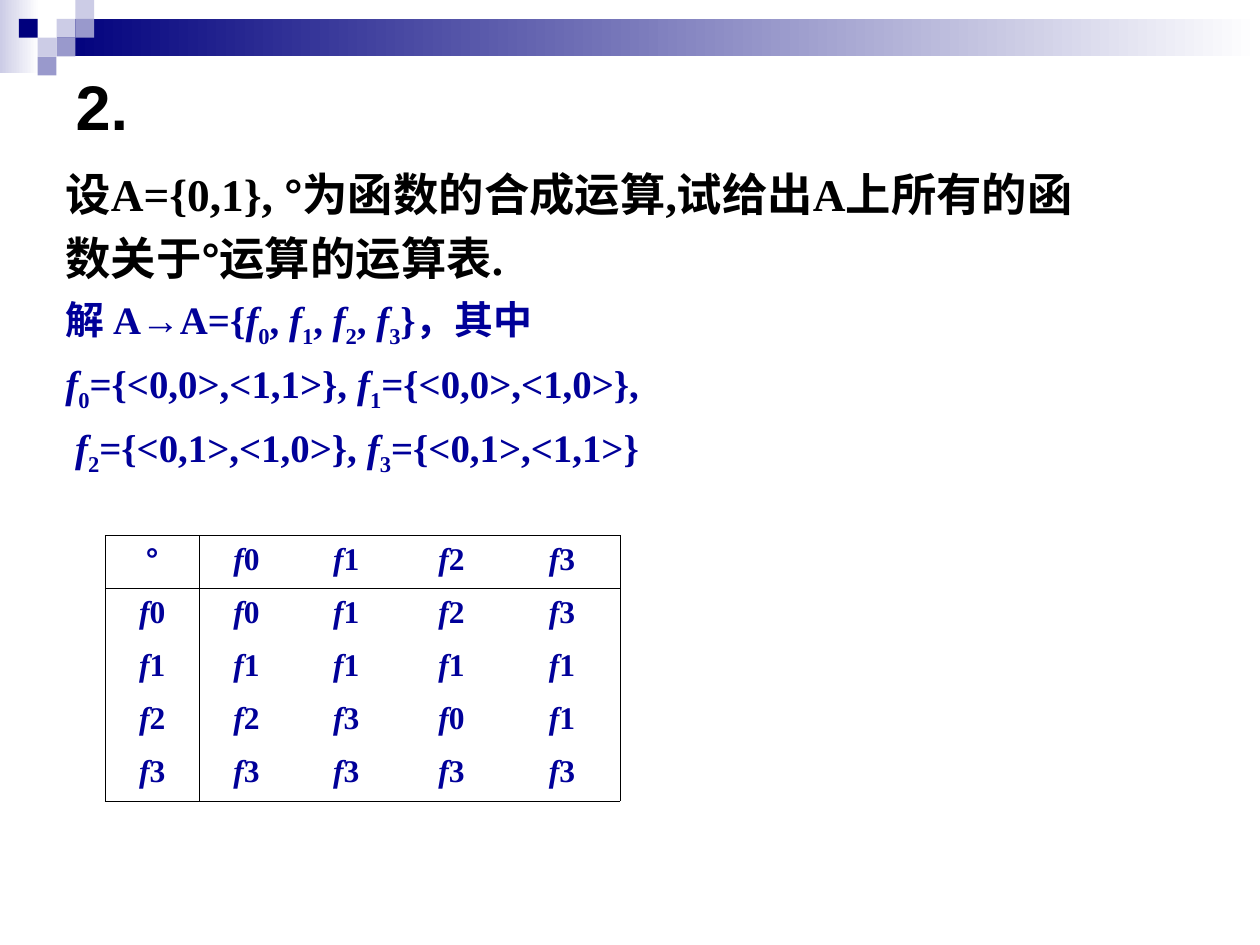
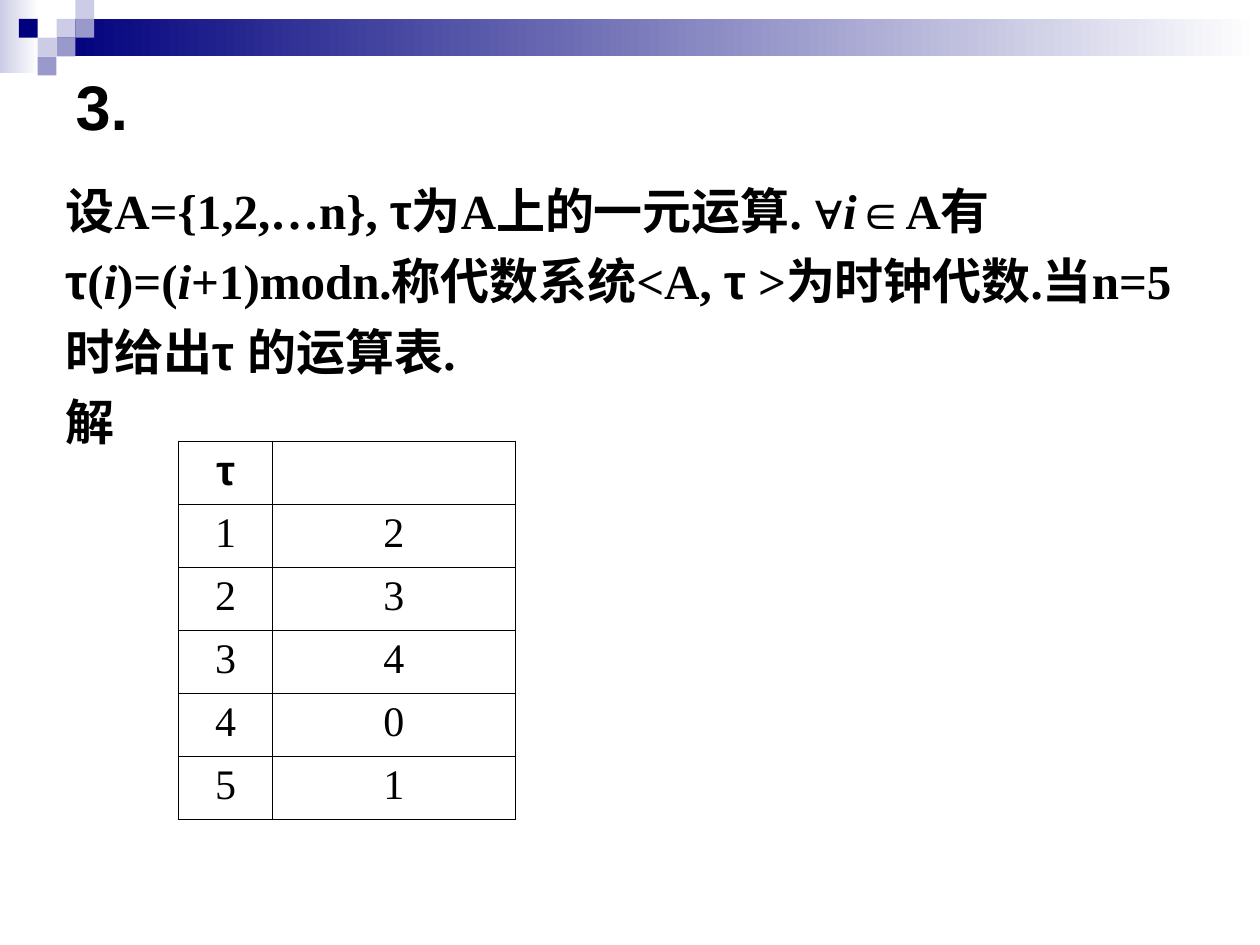
from typing import NamedTuple, Optional

import pptx
import pptx.dml.color
import pptx.enum.shapes
import pptx.enum.text
import pptx.oxml
import pptx.oxml.ns
import pptx.util
from pptx.dml.color import RGBColor
from pptx.util import Cm, Pt

# Shared colours and fonts
NAVY = RGBColor(0x00, 0x00, 0x7D)
LAVENDER = RGBColor(0xCC, 0xCC, 0xE6)
PERIWINKLE = RGBColor(0x99, 0x99, 0xCC)
WHITE = RGBColor(0xFF, 0xFF, 0xFF)
BLACK = RGBColor(0x00, 0x00, 0x00)
SOLUTION_BLUE = RGBColor(0x00, 0x00, 0x99)
SANS = "Arial"
SERIF = "Times New Roman"

TILE_SIDE = 0.38  # cm
BORDER_POINTS = 0.45


class Frame(NamedTuple):
    """Place and size in centimetres."""
    left: float
    top: float
    width: float
    height: float


class Band(NamedTuple):
    frame: Frame
    start: RGBColor


class Tile(NamedTuple):
    column: int
    row: int
    colour: RGBColor


class Span(NamedTuple):
    text: str
    font: Optional[str] = None
    italic: bool = False
    subscript: bool = False


class Style(NamedTuple):
    size: float
    colour: RGBColor
    bold: bool = True
    font: str = SERIF


class Line(NamedTuple):
    spans: list[Span]
    style: Style


class Grid(NamedTuple):
    left: float
    top: float
    column_widths: list[float]
    row_height: float
    rows: list[list[Line]]
    ruled_throughout: bool


BANDS = [
    Band(Frame(0, 0, 0.79, 1.47), LAVENDER),
    Band(Frame(1.14, 0.38, 24.26, 0.76), NAVY),
]
TILES = [
    Tile(3, 1, LAVENDER), Tile(4, 0, LAVENDER), Tile(4, 1, PERIWINKLE),
    Tile(2, 2, LAVENDER), Tile(1, 1, NAVY), Tile(3, 2, PERIWINKLE),
    Tile(2, 3, PERIWINKLE),
]
TITLE_FRAME = Frame(1.27, 1.07, 22.86, 2.11)
TITLE_STYLE = Style(36, BLACK, font=SANS)


def place(frame: Frame) -> list[pptx.util.Length]:
    return [Cm(length) for length in frame]


def apply_style(para, style: Style) -> None:
    para.font.name = style.font
    para.font.size = Pt(style.size)
    para.font.bold = style.bold
    para.font.color.rgb = style.colour


def write_line(para, line: Line) -> None:
    apply_style(para, line.style)
    for span in line.spans:
        run = para.add_run()
        run.text = span.text
        if span.font:
            run.font.name = span.font
        if span.italic:
            run.font.italic = True
        if span.subscript:
            run._r.get_or_add_rPr().set("baseline", "-25000")


def add_rectangle(page, frame: Frame):
    box = page.shapes.add_shape(
        pptx.enum.shapes.MSO_SHAPE.RECTANGLE, *place(frame))
    box.shadow.inherit = False
    box.line.fill.background()
    return box


def add_page(deck, title: str):
    """Add a title-only page with the band and tiles across its top."""
    page = deck.slides.add_slide(deck.slide_layouts[5])
    for band in BANDS:
        fill = add_rectangle(page, band.frame).fill
        fill.gradient()
        fill.gradient_angle = 0
        for stop, position, colour in zip(
                fill.gradient_stops, (0, 1), (band.start, WHITE)):
            stop.position = position
            stop.color.rgb = colour
    for tile in TILES:
        box = add_rectangle(page, Frame(
            tile.column * TILE_SIDE, tile.row * TILE_SIDE,
            TILE_SIDE, TILE_SIDE))
        box.fill.solid()
        box.fill.fore_color.rgb = tile.colour

    heading = page.shapes.title
    heading.left, heading.top, heading.width, heading.height = place(
        TITLE_FRAME)
    heading.text_frame.vertical_anchor = pptx.enum.text.MSO_ANCHOR.MIDDLE
    para = heading.text_frame.paragraphs[0]
    para.alignment = pptx.enum.text.PP_ALIGN.LEFT
    write_line(para, Line([Span(title)], TITLE_STYLE))
    return page


def add_body(page, frame: Frame, lines: list[Line], pitch: float,
             gap: float = 0, top_margin: float = 0.13) -> None:
    """Write lines at a fixed pitch, with a gap in points between them."""
    text_frame = page.shapes.add_textbox(*place(frame)).text_frame
    text_frame.word_wrap = True
    text_frame.margin_top = Cm(top_margin)
    for index, line in enumerate(lines):
        para = text_frame.add_paragraph() if index else text_frame.paragraphs[0]
        para.line_spacing = Pt(pitch)
        para.space_before = Pt(gap if index else 0)
        write_line(para, line)


def set_borders(cell, visible: dict[str, bool]) -> None:
    properties = cell._tc.get_or_add_tcPr()
    for side, shown in visible.items():
        paint = (f'<a:solidFill><a:srgbClr val="{BLACK}"/></a:solidFill>'
                 if shown else "<a:noFill/>")
        properties.append(pptx.oxml.parse_xml(
            f'<a:ln{side} {pptx.oxml.ns.nsdecls("a")} '
            f'w="{Pt(BORDER_POINTS)}">{paint}</a:ln{side}>'))


def add_grid(page, grid: Grid) -> None:
    last_row, last_column = len(grid.rows) - 1, len(grid.column_widths) - 1
    frame = Frame(grid.left, grid.top, sum(grid.column_widths),
                  grid.row_height * len(grid.rows))
    table = page.shapes.add_table(
        last_row + 1, last_column + 1, *place(frame)).table
    table.first_row = table.horz_banding = False
    for column, width in zip(table.columns, grid.column_widths):
        column.width = Cm(width)
    for row_index, row in enumerate(grid.rows):
        table.rows[row_index].height = Cm(grid.row_height)
        for column_index, line in enumerate(row):
            cell = table.cell(row_index, column_index)
            visible = {
                "L": column_index in (0, 1),
                "R": column_index in (0, last_column),
                "T": row_index in (0, 1),
                "B": row_index in (0, last_row),
            }
            set_borders(cell, {side: shown or grid.ruled_throughout
                               for side, shown in visible.items()})
            cell.fill.background()
            para = cell.text_frame.paragraphs[0]
            para.alignment = pptx.enum.text.PP_ALIGN.CENTER
            write_line(para, line)


def function_name(index: int, lead: str = "") -> list[Span]:
    """An italic f with a subscript index."""
    return [Span(lead + "f", italic=True), Span(str(index), subscript=True)]


def build_composition_page(deck) -> None:
    page = add_page(deck, "2.")
    question = Style(25.9, BLACK)
    answer = Style(22.2, SOLUTION_BLUE)
    comma, circle = Span(","), Span("°", SANS)
    lines = [
        Line([Span("设A={0,1}, "), circle,
              Span("为函数的合成运算,试给出A上所有的函")], question),
        Line([Span("数关于"), circle, Span("运算的运算表.")], question),
        Line([Span("解 A→A={"), *function_name(0),
              comma, *function_name(1, " "), comma, *function_name(2, " "),
              comma, *function_name(3, " "), Span("}，其中")], answer),
        Line([*function_name(0), Span("={<0,0>,<1,1>},"),
              *function_name(1, " "), Span("={<0,0>,<1,0>},")], answer),
        Line([*function_name(2, " "), Span("={<0,1>,<1,0>}, "),
              *function_name(3), Span("={<0,1>,<1,1>}")], answer),
    ]
    add_body(page, Frame(1.07, 3.18, 22.86, 8.05), lines, pitch=32.5, gap=4)

    # Composition table: each digit is the index of a function
    cell_style = Style(18, SOLUTION_BLUE)
    rows = [
        [Line([circle if mark == "°" else Span("f", italic=True),
               *([] if mark == "°" else [Span(mark)])], cell_style)
         for mark in marks]
        for marks in ("°0123", "00123", "11111", "22301", "33333")
    ]
    add_grid(page, Grid(2.12, 10.8, [1.9, 1.9, 2.12, 2.12, 2.34], 1.07,
                        rows, ruled_throughout=False))


def build_clock_page(deck) -> None:
    page = add_page(deck, "3.")
    question = Style(28, BLACK)
    tau, variable = Span("τ", SANS), Span("i", italic=True)
    lines = [
        Line([Span("设A={1,2,…n}, "), tau, Span("为A上的一元运算. "),
              Span("∀", SANS), variable, Span("∈", SANS), Span("A有"),
              tau, Span("("), variable, Span(")=("), variable,
              Span("+1)modn.称代数系统<A, "), tau,
              Span(" >为时钟代数.当n=5时给出"), Span("τ ", SANS),
              Span("的运算表.")], question),
        Line([Span("解")], question),
    ]
    add_body(page, Frame(1.07, 3.18, 22.86, 14.6), lines, pitch=40.25,
             top_margin=0.22)

    # Values of the clock operation for n = 5
    plain = Style(24, BLACK, bold=False)
    rows = [[Line([tau], Style(24, BLACK)), Line([], plain)]]
    rows += [[Line([Span(mark)], plain) for mark in pair]
             for pair in ("12", "23", "34", "40", "51")]
    add_grid(page, Grid(3.6, 8.89, [1.9, 4.88], 1.27, rows,
                        ruled_throughout=True))


def main() -> None:
    deck = pptx.Presentation()
    deck.slide_width, deck.slide_height = Cm(25.4), Cm(19.05)
    build_composition_page(deck)
    build_clock_page(deck)
    deck.save("out.pptx")


if __name__ == "__main__":
    main()
